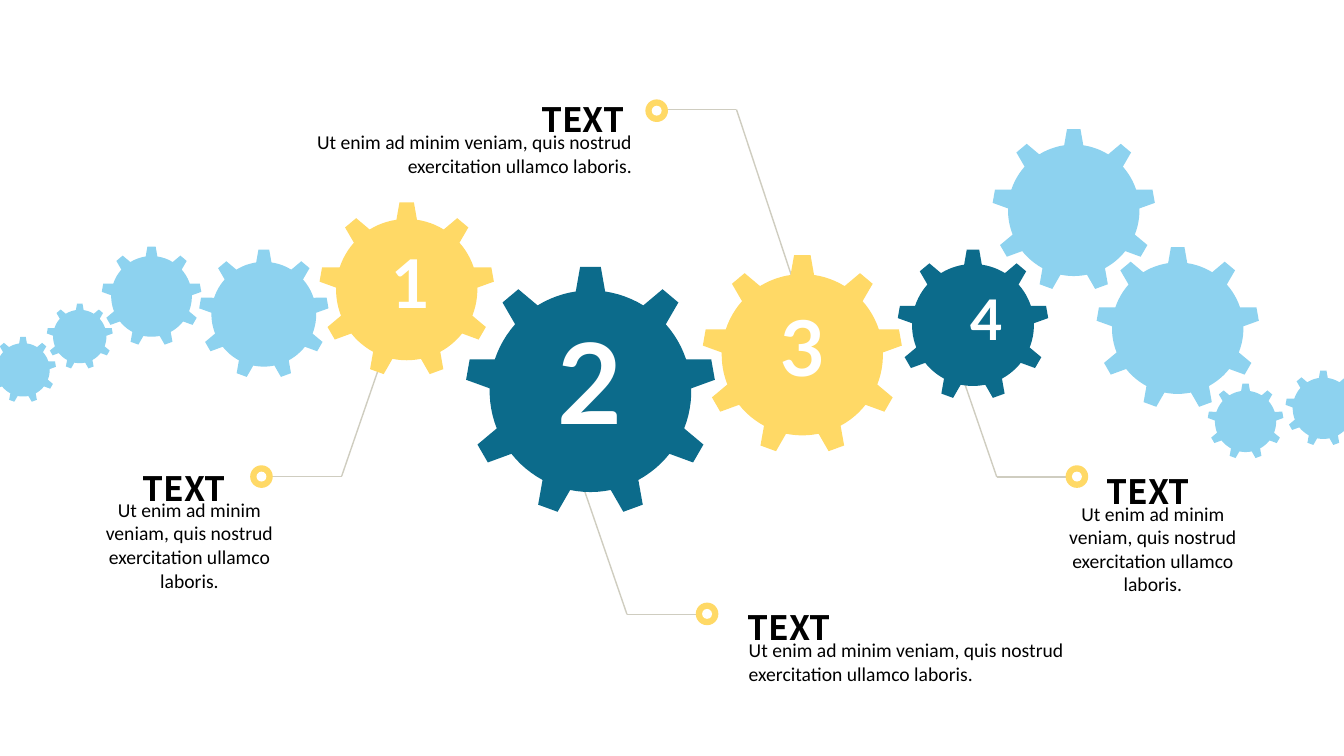
from math import atan2, cos, hypot, pi, sin

from lxml.etree import SubElement
from pptx import Presentation
from pptx.dml.color import RGBColor as Rgb
from pptx.enum.shapes import MSO_CONNECTOR as Link, MSO_SHAPE as Kind
from pptx.enum.text import MSO_ANCHOR as Anchor, PP_ALIGN as Align
from pptx.oxml.ns import qn
from pptx.util import Cm, Pt

HUES = {"gold": "FFD966", "teal": "0C6B8B", "sky": "8DD2EF",
        "wire": "CFCDC0", "white": "FFFFFF", "black": "000000"}
HEAD = "TEXT"
BODY = "Ut enim ad minim veniam, quis nostrud exercitation ullamco laboris."

# Centre x, centre y, size (cm), colour, number, number size (pt)
MAIN = [
    (10.25, 7.3, 4.45, "gold", "1", 48),
    (14.88, 9.86, 6.35, "teal", "2", 80),
    (20.22, 8.94, 5.08, "gold", "3", 55),
    (24.52, 8.19, 3.84, "teal", "4", 40),
]
# Centre x, centre y, size (cm)
SIDE = [
    (6.65, 7.92, 3.3), (3.82, 7.47, 2.54), (2.01, 8.48, 1.68),
    (0.58, 9.32, 1.68), (27.06, 5.3, 4.14), (29.68, 8.27, 4.14),
    (31.39, 10.62, 1.93), (33.35, 10.29, 1.93),
]
# Gear end, elbow, ring centre, title corner, body box (cm), body alignment
NOTES = [
    ((9.73, 8.74), (8.61, 12), (6.59, 12.01), (3.35, 10.39),
     (2.26, 12.42, 5.03, 2.64), Align.CENTER),
    ((14.68, 12.22), (15.8, 15.48), (17.82, 15.47), (18.59, 13.89),
     (18.62, 15.95, 8.51, 1.45), Align.LEFT),
    ((19.94, 6.93), (18.56, 2.76), (16.55, 2.79), (13.39, 1.09),
     (7.72, 3.15, 8.46, 1.45), Align.RIGHT),
    ((24, 8.76), (25.12, 12.02), (27.14, 12.01), (27.64, 10.46),
     (26.54, 12.52, 5.03, 2.64), Align.CENTER),
]

TEETH, STEPS = 9, 6
ROOT = 0.4              # radii and widths as shares of the gear size
TIP = (0.041, 0.494)    # half width and height of a tooth's top
HALF = 0.146            # half angle of a tooth at its root
PAD = (1.85, 2.13, 1.85, 2.29)
RING, HOLE = 0.57, 0.25

deck = Presentation()
deck.slide_width, deck.slide_height = Cm(33.87), Cm(19.05)
slide = deck.slides.add_slide(deck.slide_layouts[6])
shapes = slide.shapes


def hue(name):
    return Rgb.from_string(HUES[name])


def paint(shape, name):
    shape.shadow.inherit = False
    shape.fill.solid()
    shape.fill.fore_color.rgb = hue(name)
    shape.line.fill.background()


def write(para, text, size, font, name, bold=False):
    run = para.add_run()
    run.text = text
    run.font.size, run.font.name, run.font.bold = Pt(size), font, bold
    run.font.color.rgb = hue(name)


def wire(start, end):
    line = shapes.add_connector(Link.STRAIGHT, *map(Cm, start + end))
    line.line.color.rgb = hue("wire")
    line.line.width = Pt(1)
    SubElement(line._element.spPr, qn("a:effectLst"))


def disc(x, y, size, name):
    half = size / 2
    paint(shapes.add_shape(Kind.OVAL, Cm(x - half), Cm(y - half),
                           Cm(size), Cm(size)), name)


def label(box):
    frame = shapes.add_textbox(*map(Cm, box)).text_frame
    frame.word_wrap = True
    return frame.paragraphs[0]


def rim(x, y, size):
    """Return the outline: each tooth's top, then the arc to the next tooth."""
    pitch = 2 * pi / TEETH
    wide, high = TIP
    skew, reach = atan2(wide, high), hypot(wide, high)
    gap = pitch - 2 * HALF
    spots = []
    for tooth in range(TEETH):
        mid = tooth * pitch
        polar = [(mid - skew, reach), (mid + skew, reach)]
        polar += [(mid + HALF + gap * step / STEPS, ROOT)
                  for step in range(STEPS + 1)]
        spots += [(Cm(x + size * r * sin(a)), Cm(y - size * r * cos(a)))
                  for a, r in polar]
    return spots


def gear(x, y, size, name):
    first, *rest = rim(x, y, size)
    pen = shapes.build_freeform(*first)
    pen.add_line_segments(rest)
    shape = pen.convert_to_shape()
    paint(shape, name)
    return shape


def number(shape, x, y, size, text, points):
    """Place the number by margins measured from the gear's full square."""
    half = size / 2
    left, top, right, bottom = PAD
    frame = shape.text_frame
    frame.margin_left = Cm(x - half + left) - shape.left
    frame.margin_top = Cm(y - half + top) - shape.top
    frame.margin_right = shape.left + shape.width - Cm(x + half - right)
    frame.margin_bottom = shape.top + shape.height - Cm(y + half - bottom)
    frame.vertical_anchor = Anchor.MIDDLE
    frame.word_wrap = True
    para = frame.paragraphs[0]
    para.alignment, para.line_spacing = Align.CENTER, 0.9
    write(para, text, points, "Lato", "white", True)


for start, elbow, ring, *_ in NOTES:
    side = 1 if elbow[0] > ring[0] else -1
    wire(start, elbow)
    wire(elbow, (ring[0] + side * HOLE / 2, elbow[1]))

for x, y, size, name, text, points in MAIN:
    number(gear(x, y, size, name), x, y, size, text, points)
for spot in SIDE:
    gear(*spot, "sky")

for *_, ring, corner, box, align in NOTES:
    disc(*ring, RING, "gold")
    disc(*ring, HOLE, "white")
    title = label(corner + (2.84, 2.18))
    title.line_spacing = Pt(65)
    write(title, HEAD, 24, "Noto Sans CJK SC", "black", True)
    body = label(box)
    body.alignment, body.space_after = align, Pt(6)
    write(body, BODY, 14, "Calibri", "black")

deck.save("out.pptx")
